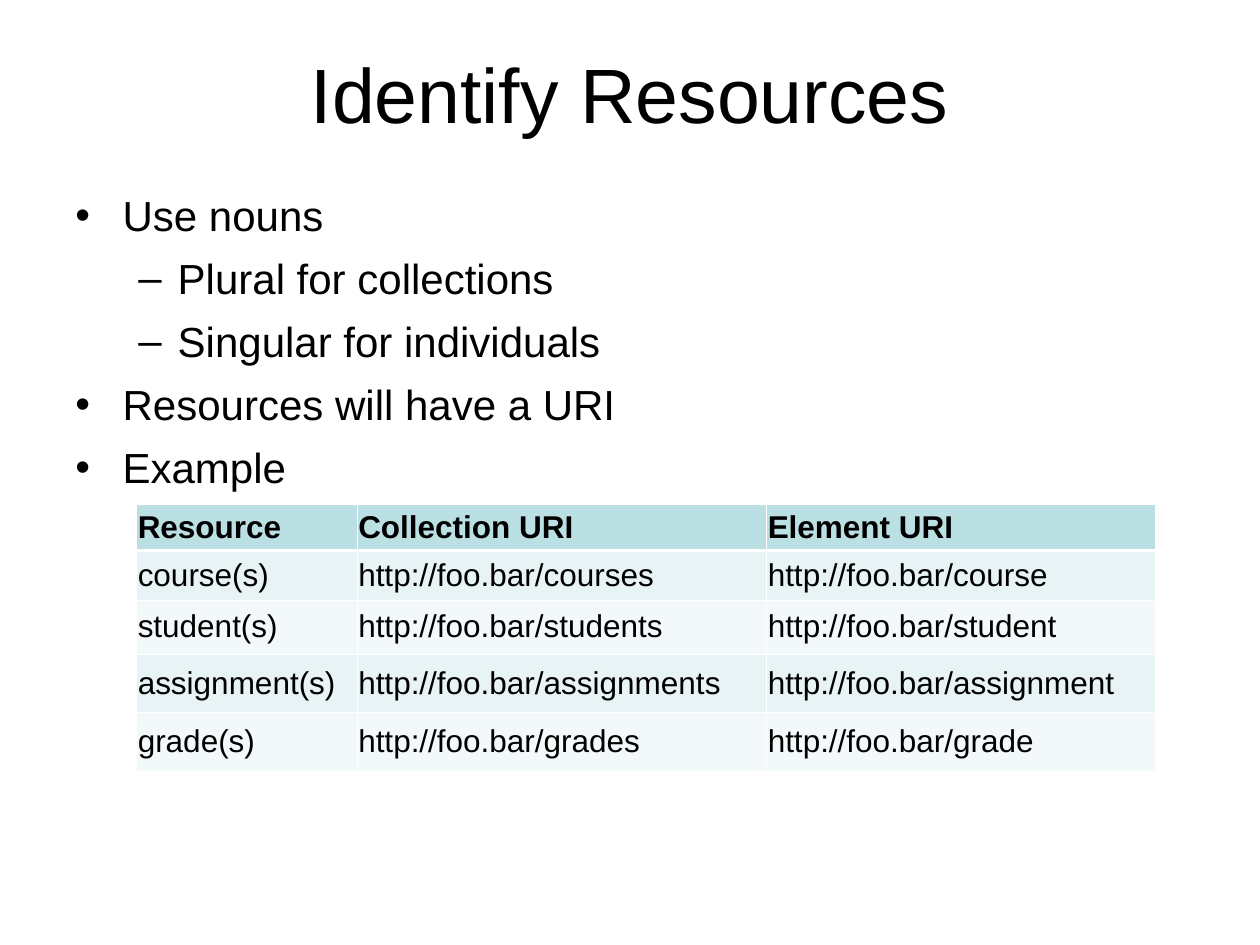
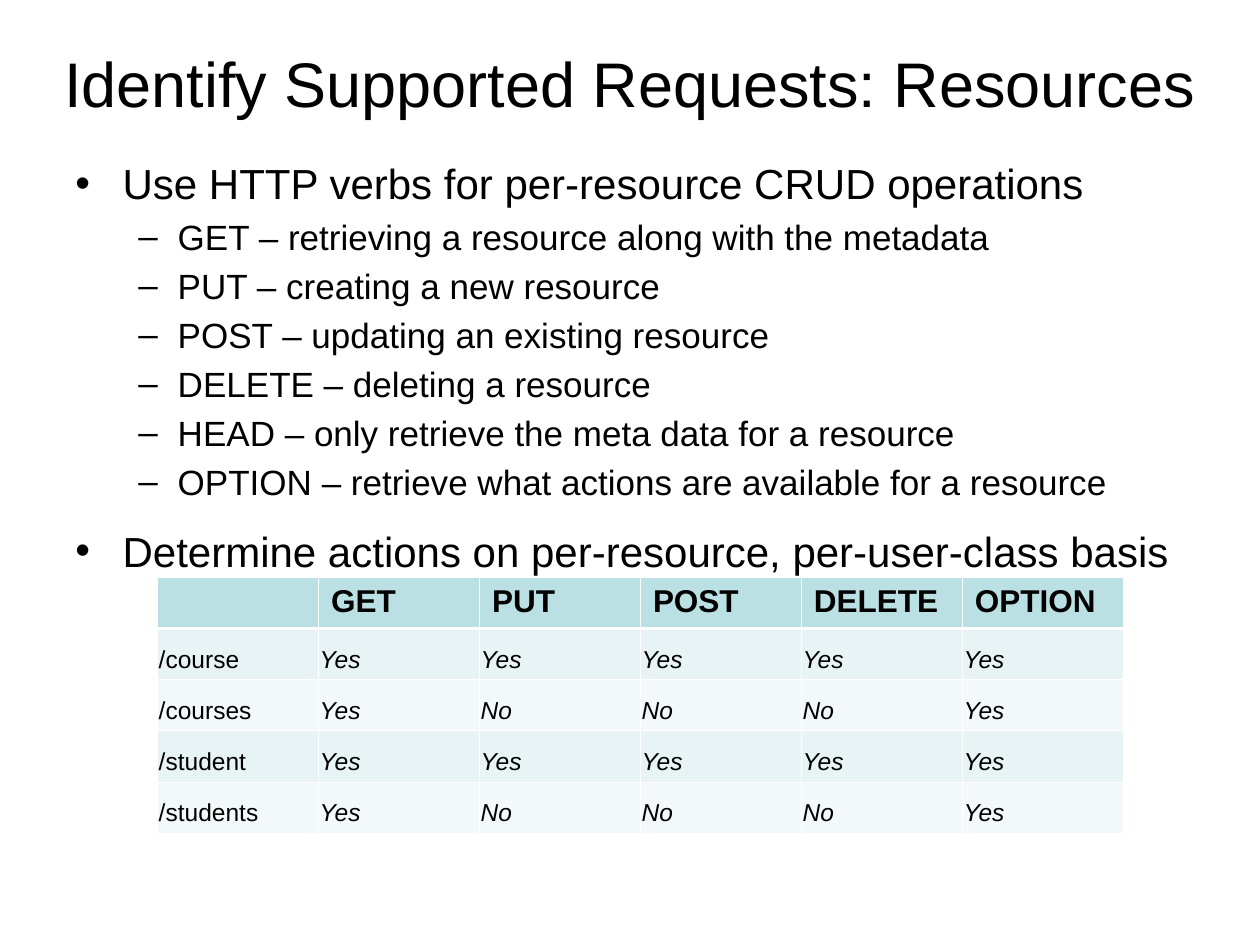
from lxml.etree import SubElement
from pptx import Presentation
from pptx.dml.color import RGBColor
from pptx.enum.text import MSO_ANCHOR, PP_ALIGN
from pptx.oxml.ns import qn
from pptx.util import Pt

FONT = "Arial"
BLACK = RGBColor(0x00, 0x00, 0x00)
WHITE = RGBColor(0xFF, 0xFF, 0xFF)
HEADER_FILL = RGBColor(0xBB, 0xE0, 0xE3)
BAND_FILLS = (RGBColor(0xE7, 0xF3, 0xF4), RGBColor(0xF3, 0xF9, 0xFA))

MARGIN, CONTENT_WIDTH = 36, 648
BODY_BOTTOM = 482.4
THIN, THICK = 0.45, 1.47
CELL_INSET = 0.72
BULLETS = (("•", 27, -27), ("–", 58.5, -22.5))


def add_span(para, text, size, bold=False, italic=False):
    span = para.add_run()
    span.text = text
    font = span.font
    font.name, font.size = FONT, Pt(size)
    font.bold, font.italic = bold, italic
    font.color.rgb = BLACK


def add_box(slide, top, height):
    box = slide.shapes.add_textbox(Pt(MARGIN), Pt(top), Pt(CONTENT_WIDTH), Pt(height))
    box.text_frame.word_wrap = True
    return box.text_frame


def add_title(slide, text, size, height):
    frame = add_box(slide, 21.6, height)
    frame.margin_left = frame.margin_right = 0
    frame.vertical_anchor = MSO_ANCHOR.MIDDLE
    para = frame.paragraphs[0]
    para.alignment = PP_ALIGN.CENTER
    add_span(para, text, size)


def set_bullet(para, level):
    mark, left, indent = BULLETS[level]
    para.level = level
    properties = para._p.get_or_add_pPr()
    properties.set("marL", str(Pt(left)))
    properties.set("indent", str(Pt(indent)))
    color = SubElement(properties, qn("a:buClr"))
    SubElement(color, qn("a:srgbClr"), val=str(BLACK))
    SubElement(properties, qn("a:buFont"), typeface=FONT)
    SubElement(properties, qn("a:buChar"), char=mark)


def add_bullets(slide, top, items, sizes, before=0, after=0):
    """Add (level, text) items; sizes holds one text size per level."""
    frame = add_box(slide, top, BODY_BOTTOM - top)
    frame.margin_top = Pt(6)
    for index, (level, text) in enumerate(items):
        para = frame.add_paragraph() if index else frame.paragraphs[0]
        para.space_before, para.space_after = Pt(before), Pt(after)
        set_bullet(para, level)
        add_span(para, text, sizes[level])
    return frame


def set_borders(cell, top, bottom):
    properties = cell._tc.get_or_add_tcPr()
    widths = (("a:lnL", THIN), ("a:lnR", THIN), ("a:lnT", top), ("a:lnB", bottom))
    for tag, width in widths:
        line = SubElement(properties, qn(tag), w=str(Pt(width)))
        fill = SubElement(line, qn("a:solidFill"))
        SubElement(fill, qn("a:srgbClr"), val=str(WHITE))


def style_cell(cell, row, anchor, side_inset, edge_inset):
    set_borders(cell, THICK if row == 1 else THIN, THICK if row == 0 else THIN)
    cell.fill.solid()
    cell.fill.fore_color.rgb = BAND_FILLS[(row - 1) % 2] if row else HEADER_FILL
    cell.vertical_anchor = anchor
    cell.margin_left = cell.margin_right = Pt(side_inset)
    cell.margin_top = cell.margin_bottom = Pt(edge_inset)


def add_grid(slide, left, top, widths, heights, rows, body_size=18,
             header_anchor=MSO_ANCHOR.MIDDLE, body_anchor=MSO_ANCHOR.MIDDLE,
             header_inset=CELL_INSET, edge_inset=3.6, italic_values=False):
    table = slide.shapes.add_table(
        len(rows), len(widths), Pt(left), Pt(top),
        Pt(sum(widths)), Pt(sum(heights))).table
    for column, width in zip(table.columns, widths):
        column.width = Pt(width)
    for table_row, height in zip(table.rows, heights):
        table_row.height = Pt(height)
    for row, texts in enumerate(rows):
        header = row == 0
        for column, text in enumerate(texts):
            cell = table.cell(row, column)
            style_cell(cell, row, header_anchor if header else body_anchor,
                       header_inset if header else CELL_INSET, edge_inset)
            if text:
                add_span(cell.text_frame.paragraphs[0], text,
                         18 if header else body_size, bold=header,
                         italic=italic_values and not header and column > 0)


def build_resources(slide):
    add_title(slide, "Identify Resources", 44, 62.64)
    add_bullets(slide, 102.24, [
        (0, "Use nouns"),
        (1, "Plural for collections"),
        (1, "Singular for individuals"),
        (0, "Resources will have a URI"),
        (0, "Example"),
    ], sizes=(24, 24), before=7.25)
    names = ("course", "student", "assignment", "grade")
    rows = [("Resource", "Collection URI", "Element URI")]
    rows += [(f"{name}(s)", f"http://foo.bar/{name}s", f"http://foo.bar/{name}")
             for name in names]
    add_grid(slide, 78, 288, (126, 234, 222), (26.2, 28.2, 31, 33.2, 33.6), rows,
             edge_inset=2.5)


def build_requests(slide):
    add_title(slide, "Identify Supported Requests: Resources", 36, 50.4)
    verbs = [
        "GET – retrieving a resource along with the metadata",
        "PUT – creating a new resource",
        "POST – updating an existing resource",
        "DELETE – deleting a resource",
        "HEAD – only retrieve the meta data for a resource",
        "OPTION – retrieve what actions are available for a resource",
    ]
    frame = add_bullets(slide, 84.24, [
        (0, "Use HTTP verbs for per-resource CRUD operations"),
        *((1, verb) for verb in verbs),
        (0, "Determine actions on per-resource, per-user-class basis"),
    ], sizes=(24, 20), after=4)
    frame.paragraphs[len(verbs)].space_after = Pt(13)

    element = ("Yes",) * 5
    collection = ("Yes", "No", "No", "No", "Yes")
    rows = [
        ("", "GET", "PUT", "POST", "DELETE", "OPTION"),
        ("/course", *element),
        ("/courses", *collection),
        ("/student", *element),
        ("/students", *collection),
    ]
    add_grid(slide, 90, 330, [92] * 6, [29.2] * 5, rows, body_size=14,
             header_anchor=MSO_ANCHOR.TOP, body_anchor=MSO_ANCHOR.BOTTOM,
             header_inset=7.2, italic_values=True)


def main():
    deck = Presentation()
    deck.slide_width, deck.slide_height = Pt(720), Pt(540)
    for build in (build_resources, build_requests):
        build(deck.slides.add_slide(deck.slide_layouts[6]))
    deck.save("out.pptx")


if __name__ == "__main__":
    main()
